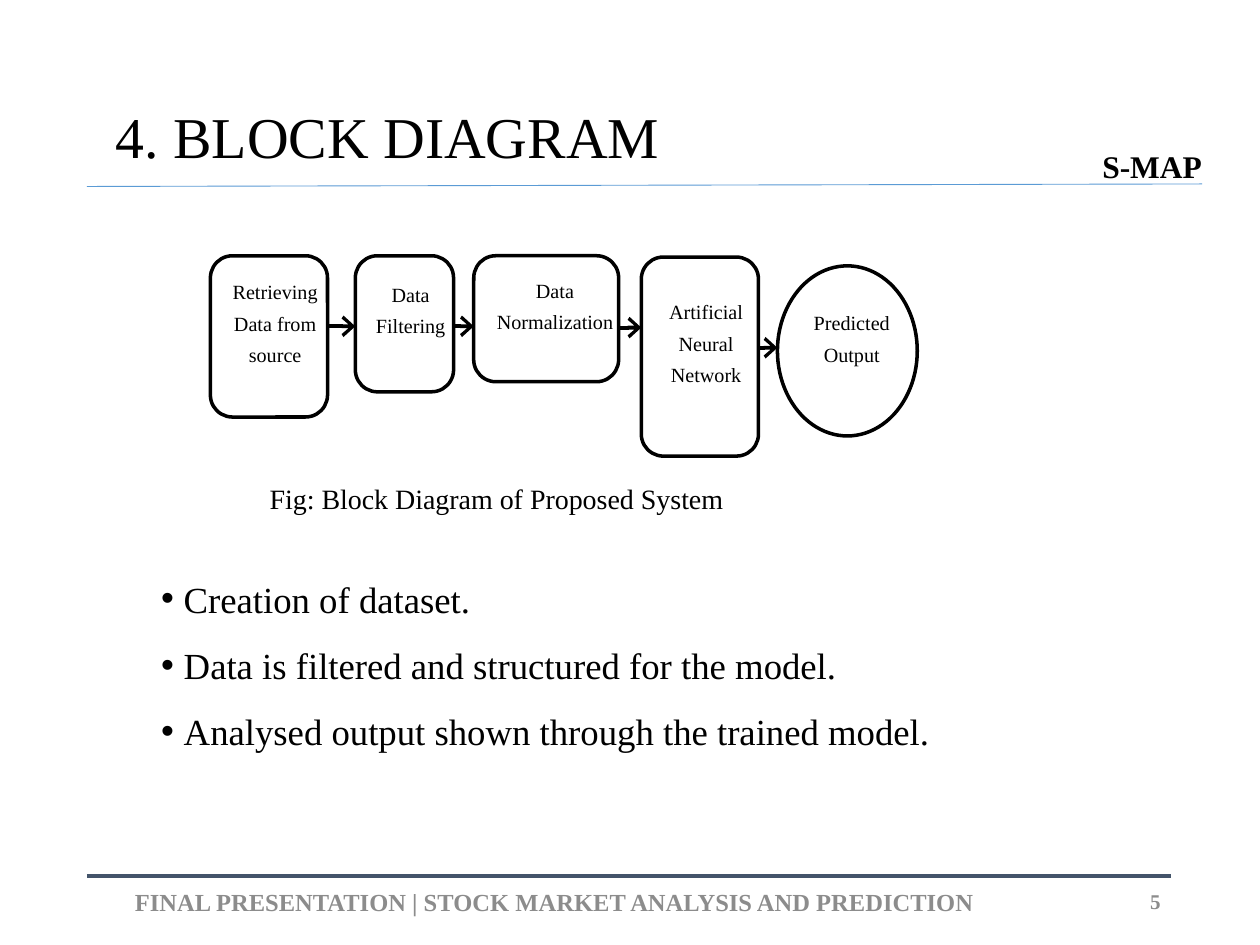
from lxml import etree
from pptx import Presentation
from pptx.dml.color import RGBColor
from pptx.enum.shapes import MSO_CONNECTOR, MSO_SHAPE
from pptx.enum.text import MSO_ANCHOR, PP_ALIGN
from pptx.oxml.ns import qn
from pptx.util import Inches, Pt

BLACK = RGBColor(0x00, 0x00, 0x00)
GREY = RGBColor(0x8C, 0x8C, 0x8C)
SLATE = RGBColor(0x44, 0x54, 0x6A)
BLUE = RGBColor(0x5B, 0x9B, 0xD5)
FONT = "Times New Roman"
LEFT, CENTER, RIGHT, JUSTIFY = (
    PP_ALIGN.LEFT, PP_ALIGN.CENTER, PP_ALIGN.RIGHT, PP_ALIGN.JUSTIFY)
TOP, MIDDLE = MSO_ANCHOR.TOP, MSO_ANCHOR.MIDDLE
ROUNDED, OVAL = MSO_SHAPE.ROUNDED_RECTANGLE, MSO_SHAPE.OVAL
STRAIGHT = MSO_CONNECTOR.STRAIGHT

COLS, ROWS = 100, 75
CELL = 0.1
STAGES = [
    (ROUNDED, 0, 0, 9.3, 12.8, 0.8, 1, "Retrieving\nData from\nsource"),
    (ROUNDED, 11.5, 0, 7.8, 10.8, 1, 1, "Data\nFiltering"),
    (ROUNDED, 20.9, 0, 11.5, 10, 0.7, 1.4, "Data\nNormalization"),
    (ROUNDED, 34.2, 0.1, 9.3, 15.8, 2.3, 1, "Artificial\nNeural\nNetwork"),
    (OVAL, 45, 0.8, 11.1, 13.5, 1, 0.7, "Predicted\nOutput"),
]
ARROW_ROWS = [5.6, 5.6, 5.7, 7.3]
POINTS = [
    "Creation of dataset.",
    "Data is filtered and structured for the model.",
    "Analysed output shown through the trained model.",
]


def grid(*cells):
    """Convert grid cells to lengths."""
    return [Inches(n * CELL) for n in cells]


def style(tf, size, color=BLACK, bold=False, align=LEFT, spacing=None):
    """Format every paragraph and run of a text frame."""
    for p in tf.paragraphs:
        p.alignment = align
        p.line_spacing = spacing
        for r in p.runs:
            r.font.name = FONT
            r.font.size = Pt(size)
            r.font.bold = bold
            r.font.color.rgb = color


def add_text(slide, box, text, size, anchor=TOP, wrap=True, **look):
    """Add a styled text box and return its frame."""
    tf = slide.shapes.add_textbox(*grid(*box)).text_frame
    tf.word_wrap = wrap
    tf.vertical_anchor = anchor
    tf.text = text
    style(tf, size, **look)
    return tf


def add_line(slide, start, end, color, width, arrow=False):
    """Draw a straight line, with an open arrowhead if asked."""
    sp = slide.shapes.add_connector(STRAIGHT, *grid(*start, *end))
    sp.line.color.rgb = color
    sp.line.width = Pt(width)
    if arrow:
        etree.SubElement(sp.line._get_or_add_ln(), qn("a:tailEnd"),
                         type="arrow", w="lg", len="med")
    etree.SubElement(sp._element.spPr, qn("a:effectLst"))


def add_header(slide, box):
    """Place the title, the project tag and the rule under them."""
    x, y, w, h = box
    add_line(slide, (x, y + h), (x + w, y + h - 0.2), BLUE, 0.5)
    add_text(slide, (x + 1.3, y, 60.4, 6.6), "4. BLOCK DIAGRAM", 33)
    add_text(slide, (x + w - 8.9, y + 3.7, 10, 4), "S-MAP", 18,
             wrap=False, bold=True)


def add_stage(slide, box, kind, top, left, label):
    """Draw one outlined stage with its label."""
    sp = slide.shapes.add_shape(kind, *grid(*box))
    sp.shadow.inherit = False
    sp.fill.background()
    sp.line.color.rgb = BLACK
    sp.line.width = Pt(2)
    if kind == ROUNDED:
        sp.adjustments[0] = 1.75 / min(box[2:])
    tf = sp.text_frame
    tf.word_wrap = False
    tf.vertical_anchor = TOP
    tf.margin_left, tf.margin_top, tf.margin_right, tf.margin_bottom = grid(
        left, top, 0, 0)
    tf.text = label
    style(tf, 11.5, align=CENTER, spacing=Pt(18))


def add_diagram(slide, box):
    """Draw the chain of stages, its arrows and the caption."""
    x, y, w, h = box
    for kind, dx, dy, sw, sh, top, left, label in STAGES:
        add_stage(slide, (x + dx, y + dy, sw, sh), kind, top, left, label)
    for a, b, row in zip(STAGES, STAGES[1:], ARROW_ROWS):
        add_line(slide, (x + a[1] + a[3], y + row), (x + b[1], y + row),
                 BLACK, 2.25, arrow=True)
    tf = add_text(slide, (x + 4, y + h - 7, 41, 7),
                  "Fig: Block Diagram of Proposed System", 16,
                  anchor=MIDDLE, spacing=0.9)
    tf.margin_left, tf.margin_right = grid(0.7, 0.7)


def add_points(slide, box):
    """Write the bulleted list."""
    tf = add_text(slide, box, "\n".join(POINTS), 21, align=JUSTIFY,
                  spacing=1.5)
    indent = Inches(0.18)
    for p in tf.paragraphs:
        pPr = p._p.get_or_add_pPr()
        pPr.set("marL", str(indent))
        pPr.set("indent", str(-indent))
        etree.SubElement(pPr, qn("a:buFont"), typeface="Arial")
        etree.SubElement(pPr, qn("a:buChar"), char="•")


def add_footer(slide, box):
    """Place the footer rule, the running title and the page number."""
    x, y, w, h = box
    look = dict(anchor=MIDDLE, color=GREY, bold=True)
    add_line(slide, (x, y), (x + w, y), SLATE, 2.25)
    add_text(slide, (x, y + 0.4, 74.2, h - 0.7),
             "FINAL PRESENTATION | STOCK MARKET ANALYSIS AND PREDICTION",
             14, align=CENTER, **look)
    add_text(slide, (x + w - 8.9, y, 9.1, h), "5", 12, align=RIGHT, **look)


def main():
    """Build the slide and save it."""
    prs = Presentation()
    prs.slide_width, prs.slide_height = grid(COLS, ROWS)
    slide = prs.slides.add_slide(prs.slide_layouts[6])
    add_header(slide, (6.9, 7.5, 88.5, 7.3))
    add_diagram(slide, (16.7, 20.3, 56.1, 22.9))
    add_points(slide, (11.8, 43.5, 70.5, 20.4))
    add_footer(slide, (6.9, 69.5, 86, 4))
    prs.save("out.pptx")


if __name__ == "__main__":
    main()
